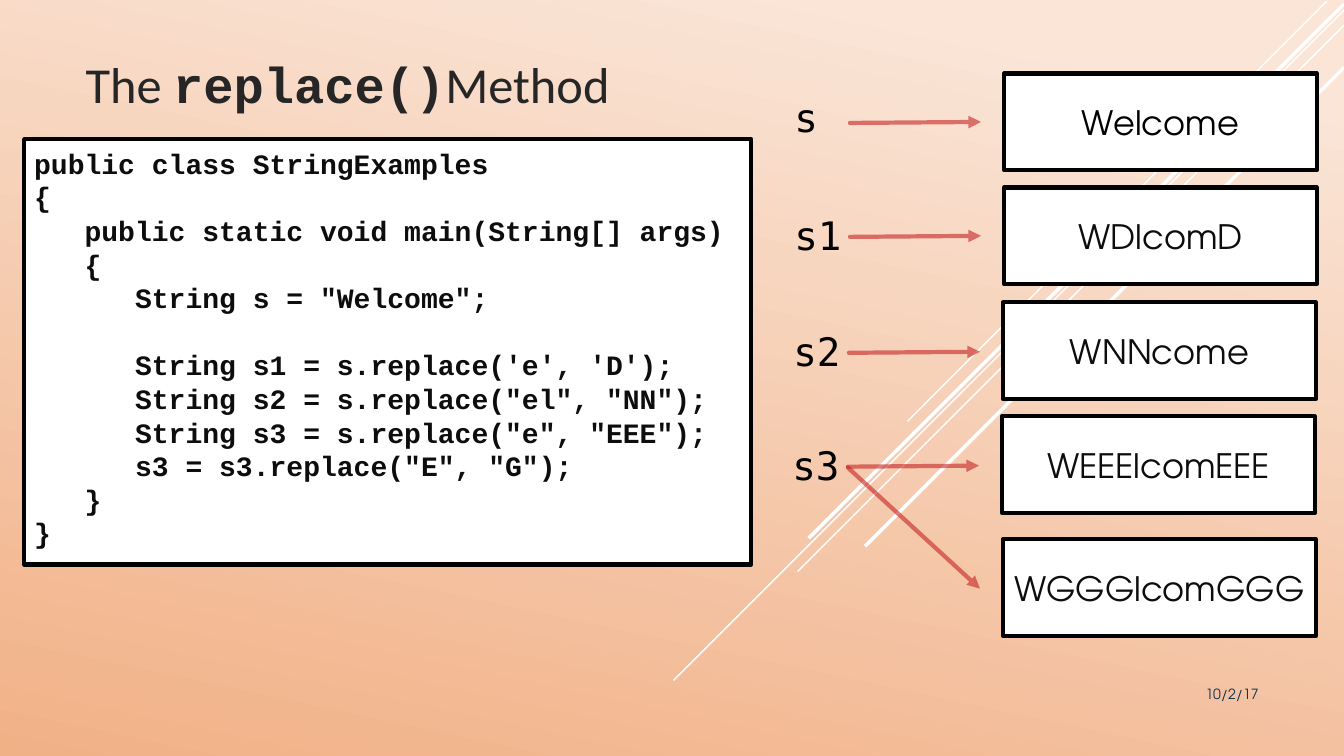
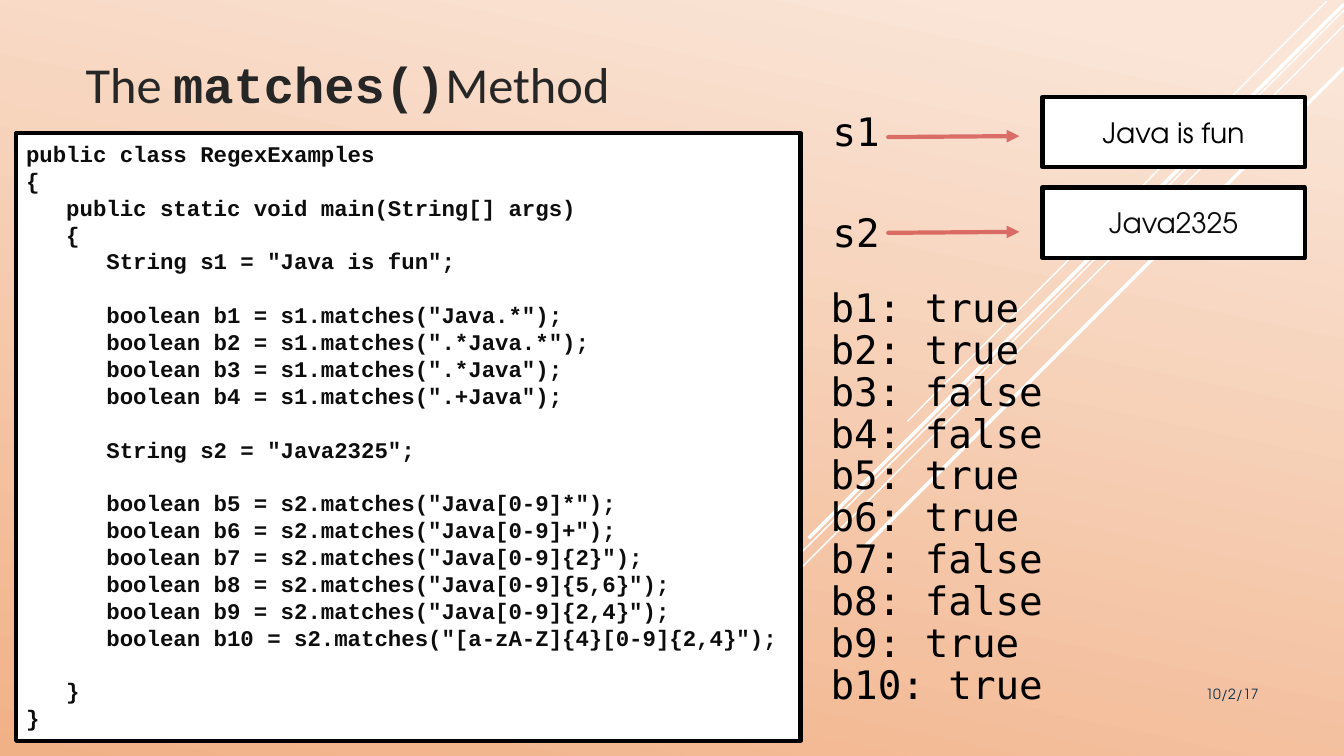
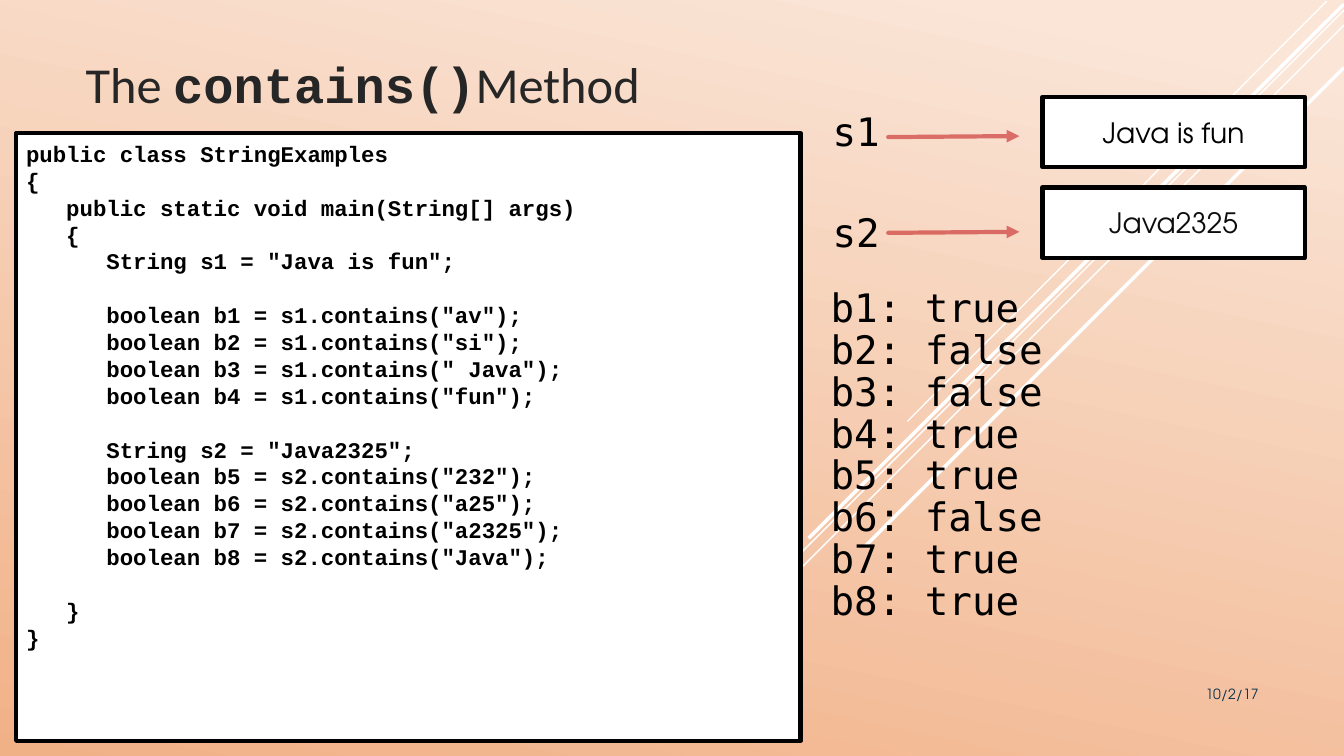
from lxml import etree
from pptx import Presentation
from pptx.dml.color import RGBColor
from pptx.enum.shapes import MSO_CONNECTOR, MSO_SHAPE
from pptx.enum.text import MSO_ANCHOR, PP_ALIGN
from pptx.oxml.ns import qn
from pptx.util import Inches, Pt

STRAIGHT = MSO_CONNECTOR.STRAIGHT
RECTANGLE = MSO_SHAPE.RECTANGLE
TOP, MIDDLE, BOTTOM = MSO_ANCHOR.TOP, MSO_ANCHOR.MIDDLE, MSO_ANCHOR.BOTTOM
LEFT, CENTER, RIGHT = PP_ALIGN.LEFT, PP_ALIGN.CENTER, PP_ALIGN.RIGHT

COLORS = {
    "light": "FAE5D7", "dark": "F1B187", "white": "FFFFFF", "black": "000000",
    "ink": "0D0D0D", "title": "262626", "date": "0A304A", "arrow": "C62324",
}
TITLE_FONT, CODE_FONT = "Calibri", "Courier New"
LABEL_FONT, VALUE_FONT = "DejaVu Sans Mono", "TeX Gyre Adventor"

SLIDE_SIZE = (13.33, 7.5)
GRADIENT_ANGLE = 360 - 102
RAYS = [  # start, end, width in points
    ((13.16, 0.01), (9, 4.18), 1),
    ((13.33, 0.1), (6.68, 6.75), 1),
    ((13.33, 0.25), (7.91, 5.67), 1),
    ((13.33, 0.04), (8.02, 5.34), 2.5),
    ((13.33, 0.67), (8.58, 5.42), 2.5),
]
RESULT_LEFT, RESULT_TOP, RESULT_STEP = 8.14, 2.76, 0.4155

REPLACE_CODE = """public class StringExamples
{
   public static void main(String[] args)
   {
      String s = "Welcome";

      String s1 = s.replace('e', 'D');
      String s2 = s.replace("el", "NN");
      String s3 = s.replace("e", "EEE");
      s3 = s3.replace("E", "G");
   }
}"""

MATCHES_CODE = """public class RegexExamples
{
   public static void main(String[] args)
   {
      String s1 = "Java is fun";

      boolean b1 = s1.matches("Java.*");
      boolean b2 = s1.matches(".*Java.*");
      boolean b3 = s1.matches(".*Java");
      boolean b4 = s1.matches(".+Java");

      String s2 = "Java2325";

      boolean b5 = s2.matches("Java[0-9]*");
      boolean b6 = s2.matches("Java[0-9]+");
      boolean b7 = s2.matches("Java[0-9]{2}");
      boolean b8 = s2.matches("Java[0-9]{5,6}");
      boolean b9 = s2.matches("Java[0-9]{2,4}");
      boolean b10 = s2.matches("[a-zA-Z]{4}[0-9]{2,4}");

   }
}"""

CONTAINS_CODE = """public class StringExamples
{
   public static void main(String[] args)
   {
      String s1 = "Java is fun";

      boolean b1 = s1.contains("av");
      boolean b2 = s1.contains("si");
      boolean b3 = s1.contains(" Java");
      boolean b4 = s1.contains("fun");

      String s2 = "Java2325";
      boolean b5 = s2.contains("232");
      boolean b6 = s2.contains("a25");
      boolean b7 = s2.contains("a2325");
      boolean b8 = s2.contains("Java");

   }
}"""

# variable, value, box left, box top, label top, arrow height
REPLACE_VARIABLES = [
    ("s", "Welcome", 9.96, 0.73, 0.88, 1.22),
    ("s1", "WDlcomD", 9.96, 1.86, 2.05, 2.35),
    ("s2", "WNNcome", 9.95, 3, 3.2, 3.5),
    ("s3", "WEEElcomEEE", 9.94, 4.13, 4.33, 4.63),
]
JAVA_VARIABLES = [
    ("s1", "Java is fun", 10.34, 0.96, 1.02, 1.36),
    ("s2", "Java2325", 10.34, 1.86, 2.02, 2.31),
]
MATCHES_RESULTS = ["true", "true", "false", "false", "true",
                   "true", "false", "false", "true", "true"]
CONTAINS_RESULTS = ["true", "false", "false", "true",
                    "true", "false", "true", "true"]


def rgb(name):
    return RGBColor.from_string(COLORS[name])


def style(font, name, size, color, bold=False):
    font.name, font.size, font.bold = name, Pt(size), bold
    font.color.rgb = rgb(color)


def add_line(slide, start, end, color, width):
    line = slide.shapes.add_connector(
        STRAIGHT, *(Inches(value) for value in (*start, *end)))
    line.line.color.rgb = rgb(color)
    line.line.width = Pt(width)
    etree.SubElement(line._element.spPr, qn("a:effectLst"))
    return line


def add_arrow(slide, start, end):
    """Draw a translucent arrow with its head at the end."""
    outline = add_line(slide, start, end, "arrow", 3).line._get_or_add_ln()
    outline.set("cap", "rnd")
    color = outline.find(".//" + qn("a:srgbClr"))
    etree.SubElement(color, qn("a:alpha"), val="60000")
    etree.SubElement(outline, qn("a:tailEnd"), type="triangle")


def add_text(slide, box, text, font, size, color, align=LEFT):
    frame = slide.shapes.add_textbox(*map(Inches, box)).text_frame
    frame.word_wrap = True
    paragraph = frame.paragraphs[0]
    paragraph.text = text
    paragraph.alignment = align
    style(paragraph.font, font, size, color)


def add_panel(slide, box, text, anchor, align):
    """Draw a white framed box; return its frame and paragraph for styling."""
    panel = slide.shapes.add_shape(RECTANGLE, *map(Inches, box))
    panel.shadow.inherit = False
    panel.fill.solid()
    panel.fill.fore_color.rgb = rgb("white")
    panel.line.color.rgb = rgb("black")
    panel.line.width = Pt(3)
    frame = panel.text_frame
    frame.word_wrap = True
    frame.vertical_anchor = anchor
    paragraph = frame.paragraphs[0]
    paragraph.text = text
    paragraph.alignment = align
    return frame, paragraph


def add_code(slide, box, code, size, color="ink"):
    frame, paragraph = add_panel(slide, box, code, TOP, LEFT)
    frame.margin_top = Inches(0.07)
    paragraph.line_spacing = Pt(size * 1.2)
    style(paragraph.font, CODE_FONT, size, color, bold=True)


def add_value(slide, box, value, size, color="ink"):
    paragraph = add_panel(slide, box, value, MIDDLE, CENTER)[1]
    style(paragraph.font, VALUE_FONT, size, color)


def add_variables(slide, variables, box_size, font_size):
    """Place rows of a variable name, an arrow and the boxed value."""
    for row, (name, value, left, top, label_top, arrow_y) in enumerate(variables):
        color = "ink" if row else "black"
        add_value(slide, (left, top, *box_size), value, font_size, color)
        add_text(slide, (left - 2.18, label_top, 0.8, 0.57), name,
                 LABEL_FONT, 28, "black")
        add_arrow(slide, (left - 1.53, arrow_y), (left - 0.23, arrow_y - 0.01))


def add_results(slide, results):
    for row, result in enumerate(results):
        box = (RESULT_LEFT, RESULT_TOP + row * RESULT_STEP, 2.41, 0.57)
        add_text(slide, box, f"b{row + 1}: {result}", LABEL_FONT, 28, "black")


def add_title(slide, method):
    frame = slide.shapes.add_textbox(
        *map(Inches, (0.75, 0.15, 10.8, 1.03))).text_frame
    frame.word_wrap = True
    frame.vertical_anchor = BOTTOM
    for text, font, bold in (("The ", TITLE_FONT, False),
                             (method, CODE_FONT, True),
                             ("Method", TITLE_FONT, False)):
        run = frame.paragraphs[0].add_run()
        run.text = text
        style(run.font, font, 36, "title", bold)


def add_base(presentation, light_until):
    """Add a blank slide with the gradient and the rays."""
    slide = presentation.slides.add_slide(presentation.slide_layouts[6])
    fill = slide.background.fill
    fill.gradient()
    fill.gradient_angle = GRADIENT_ANGLE
    stops = zip(fill.gradient_stops, ("light", "dark"), (light_until, 1))
    for stop, color, position in stops:
        stop.color.rgb = rgb(color)
        stop.position = position
    for start, end, width in RAYS:
        add_line(slide, start, end, "white", width)
    return slide


def add_heading(slide, method):
    """Add the title and the date."""
    add_title(slide, method)
    add_text(slide, (10.83, 6.75, 1.75, 0.4), "10/2/17",
             VALUE_FONT, 10, "date", RIGHT)


def add_replace_slide(presentation):
    slide = add_base(presentation, 0.1)
    add_code(slide, (0.24, 1.38, 7.21, 4.22), REPLACE_CODE, 20)
    add_heading(slide, "replace()")
    box_size = (3.1, 0.96)
    add_variables(slide, REPLACE_VARIABLES, box_size, 24)
    add_value(slide, (9.95, 5.35, *box_size), "WGGGlcomGGG", 24)
    add_arrow(slide, (8.41, 4.64), (9.72, 5.84))


def add_test_slide(presentation, method, code, code_color, results):
    slide = add_base(presentation, 0.07)
    add_code(slide, (0.16, 1.32, 7.78, 6.03), code, 16, code_color)
    add_heading(slide, method)
    add_variables(slide, JAVA_VARIABLES, (2.6, 0.7), 20)
    add_results(slide, results)


def main():
    presentation = Presentation()
    presentation.slide_width, presentation.slide_height = map(Inches, SLIDE_SIZE)
    add_replace_slide(presentation)
    add_test_slide(presentation, "matches()", MATCHES_CODE, "ink", MATCHES_RESULTS)
    add_test_slide(presentation, "contains()", CONTAINS_CODE, "black",
                   CONTAINS_RESULTS)
    presentation.save("out.pptx")


if __name__ == "__main__":
    main()
